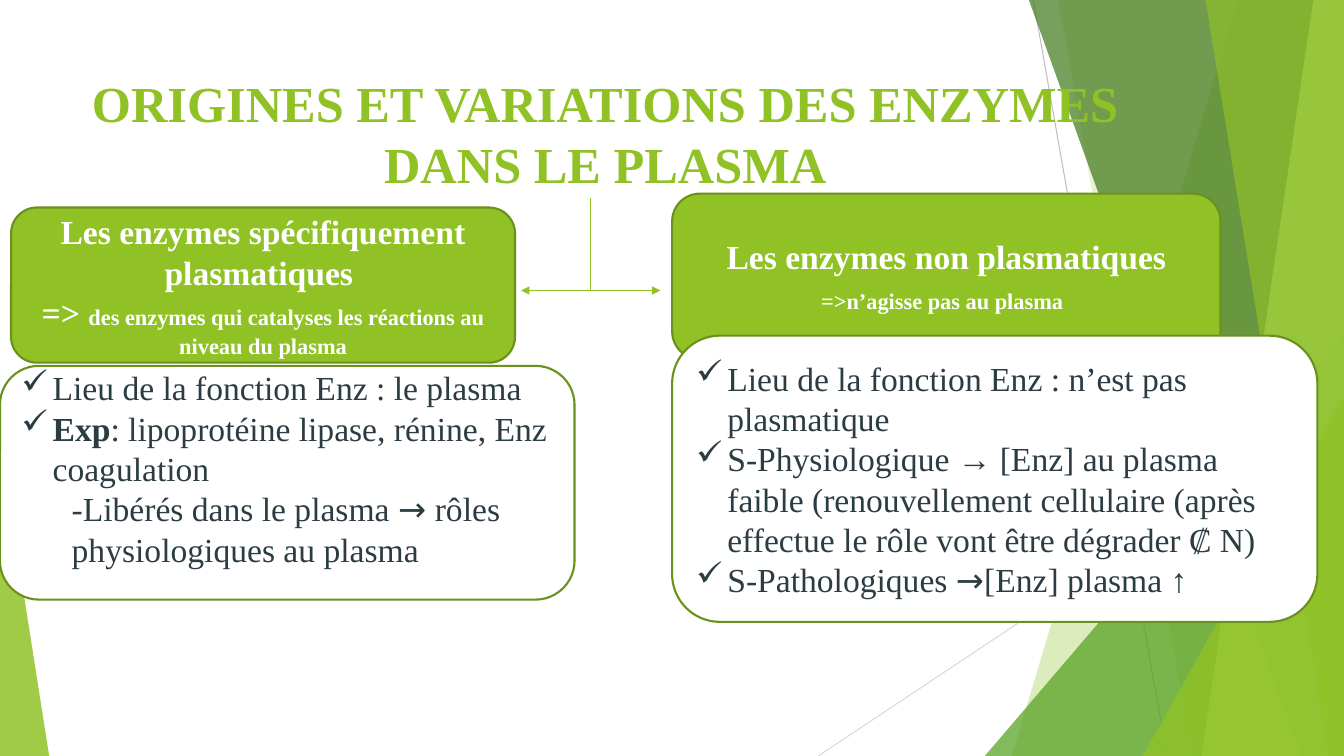
from lxml import etree
from pptx import Presentation
from pptx import util as u
from pptx.dml.color import RGBColor
from pptx.enum import shapes, text
from pptx.oxml.ns import qn

WIDTH, HEIGHT = 33.87, 19.05
GREEN, DARK_GREEN, WHITE, INK = "90C226", "6B901C", "FFFFFF", "2C3C43"
SERIF, SANS = "Times New Roman", "Roboto"


def rgb(value):
    return RGBColor.from_string(value)


class PlasmaSlide:
    """Draws styled elements on the current slide."""

    def __init__(self, slide):
        self.slide = slide

    def paint(self, shape, fill, opacity=100, outline=None):
        shape.shadow.inherit = False
        shape.fill.solid()
        shape.fill.fore_color.rgb = rgb(fill)
        if opacity < 100:
            colour = shape.fill._xPr.find(qn("a:solidFill"))[0]
            etree.SubElement(colour, qn("a:alpha"), val=str(opacity * 1000))
        if outline:
            shape.line.color.rgb = rgb(outline)
            shape.line.width = u.Pt(1.5)
        else:
            shape.line.fill.background()

    def facet(self, top_x, bottom_x, fill, opacity):
        outline = self.slide.shapes.build_freeform(u.Cm(top_x), 0)
        corners = [(WIDTH, 0), (WIDTH, HEIGHT), (bottom_x, HEIGHT)]
        outline.add_line_segments([(u.Cm(x), u.Cm(y)) for x, y in corners])
        self.paint(outline.convert_to_shape(), fill, opacity)

    def triangle(self, left, top, right, apex, fill, opacity):
        corner = self.slide.shapes.add_shape(
            shapes.MSO_SHAPE.ISOSCELES_TRIANGLE, u.Cm(left), u.Cm(top),
            u.Cm(right - left), u.Cm(HEIGHT - top))
        corner.adjustments[0] = apex
        self.paint(corner, fill, opacity)

    def line(self, start, end, colour, width, arrows=False):
        rule = self.slide.shapes.add_connector(
            shapes.MSO_CONNECTOR.STRAIGHT, *(u.Cm(v) for v in start + end))
        rule.line.color.rgb = rgb(colour)
        rule.line.width = u.Pt(width)
        properties = rule.element.spPr
        if arrows:
            stroke = properties.find(qn("a:ln"))
            for tip in ("a:headEnd", "a:tailEnd"):
                etree.SubElement(stroke, qn(tip), type="triangle")
        etree.SubElement(properties, qn("a:effectLst"))

    def run(self, paragraph, wording, size, colour, bold=False, face=SERIF):
        run = paragraph.add_run()
        run.text = wording
        run.font.size = u.Pt(size)
        run.font.name = face
        run.font.bold = bold
        run.font.color.rgb = rgb(colour)

    def title(self, wording, left, top, width, height):
        title = self.slide.shapes.title
        title.left, title.top = u.Cm(left), u.Cm(top)
        title.width, title.height = u.Cm(width), u.Cm(height)
        title.element.getparent().append(title.element)
        frame = title.text_frame
        frame.word_wrap = True
        frame.auto_size = text.MSO_AUTO_SIZE.NONE
        frame.vertical_anchor = text.MSO_ANCHOR.TOP
        heading = frame.paragraphs[0]
        heading.alignment = text.PP_ALIGN.CENTER
        self.run(heading, wording, 36, GREEN, True)

    def panel(self, left, top, width, height, fill):
        panel = self.slide.shapes.add_shape(
            shapes.MSO_SHAPE.ROUNDED_RECTANGLE,
            u.Cm(left), u.Cm(top), u.Cm(width), u.Cm(height))
        self.paint(panel, fill, outline=DARK_GREEN)
        frame = panel.text_frame
        frame.word_wrap = True
        frame.vertical_anchor = text.MSO_ANCHOR.MIDDLE
        return frame

    def paragraphs(self, frame, count):
        for _ in range(count - 1):
            frame.add_paragraph()
        return frame.paragraphs

    def header(self, place, lines):
        frame = self.panel(*place, GREEN)
        for paragraph, runs in zip(self.paragraphs(frame, len(lines)), lines):
            paragraph.alignment = text.PP_ALIGN.CENTER
            for wording, size, bold in runs:
                self.run(paragraph, wording, size, WHITE, bold)

    def checklist(self, place, items, bottom_inset=0.13):
        frame = self.panel(*place, WHITE)
        frame.margin_bottom = u.Cm(bottom_inset)
        for paragraph, (checked, runs) in zip(self.paragraphs(frame, len(items)), items):
            paragraph.alignment = text.PP_ALIGN.LEFT
            properties = paragraph._p.get_or_add_pPr()
            indent, hanging = (0.79, -0.79) if checked else (1.27, 0)
            properties.set("marL", str(u.Cm(indent)))
            properties.set("indent", str(u.Cm(hanging)))
            if checked:
                etree.SubElement(properties, qn("a:buChar"), char="✓")
            for wording, bold, face in runs:
                self.run(paragraph, wording, 24, INK, bold, face)


def main():
    deck = Presentation()
    deck.slide_width, deck.slide_height = u.Cm(WIDTH), u.Cm(HEIGHT)
    page = PlasmaSlide(deck.slides.add_slide(deck.slide_layouts[5]))

    page.line((26.04, 0), (29.41, HEIGHT), "BFBFBF", 0.75)
    page.line((WIDTH, 10.24), (20.62, HEIGHT), "D9D9D9", 0.75)
    page.facet(31.19, 25.5, GREEN, 30)
    page.facet(26.67, 30.05, GREEN, 20)
    page.triangle(24.82, 8.46, WIDTH, 1, "54A021", 72)
    page.facet(25.93, 32.79, "3F7819", 70)
    page.facet(33.1, 30.28, "C0E474", 70)
    page.facet(30.38, 33.48, GREEN, 65)
    page.triangle(28.8, 9.98, WIDTH, 1, GREEN, 80)
    page.triangle(0, 11.15, 1.24, 0, GREEN, 85)

    page.title("ORIGINES ET VARIATIONS DES ENZYMES DANS LE PLASMA",
               1.88, 1.7, 26.75, 3.66)
    page.header((0.28, 5.23, 12.7, 3.91), [
        [("Les enzymes spécifiquement plasmatiques ", 24, True)],
        [("=> ", 24, True),
         ("des enzymes qui catalyses les réactions au niveau du plasma", 16, True)],
    ])
    page.header((16.94, 4.88, 13.82, 4.17), [
        [("Les enzymes non plasmatiques", 24, True)],
        [("=>n’agisse pas au plasma", 16, True), (" ", 24, False)],
    ])
    page.checklist((0, 9.22, 14.48, 5.89), [
        (True, [("Lieu de la fonction Enz : le plasma", False, SERIF)]),
        (True, [("Exp", True, SERIF),
                (": lipoprotéine lipase, rénine, Enz coagulation", False, SERIF)]),
        (False, [("-Libérés dans le plasma ", False, SERIF), ("→", False, SANS),
                 (" rôles physiologiques au plasma", False, SERIF)]),
    ], bottom_inset=0.86)
    page.checklist((16.94, 8.46, 16.26, 7.21), [
        (True, [("Lieu de la fonction Enz : n’est pas plasmatique", False, SERIF)]),
        (True, [("S-Physiologique → [Enz] au plasma faible (renouvellement cellulaire "
                 "(après effectue le rôle vont être dégrader ₡ N)", False, SERIF)]),
        (True, [("S-Pathologiques ", False, SERIF), ("→", False, SANS),
                ("[Enz] plasma ↑", False, SERIF)]),
    ])
    page.line((13.13, 7.32), (16.64, 7.32), GREEN, 1, arrows=True)
    page.line((14.88, 4.98), (14.88, 7.32), GREEN, 1)

    deck.save("out.pptx")


if __name__ == "__main__":
    main()
